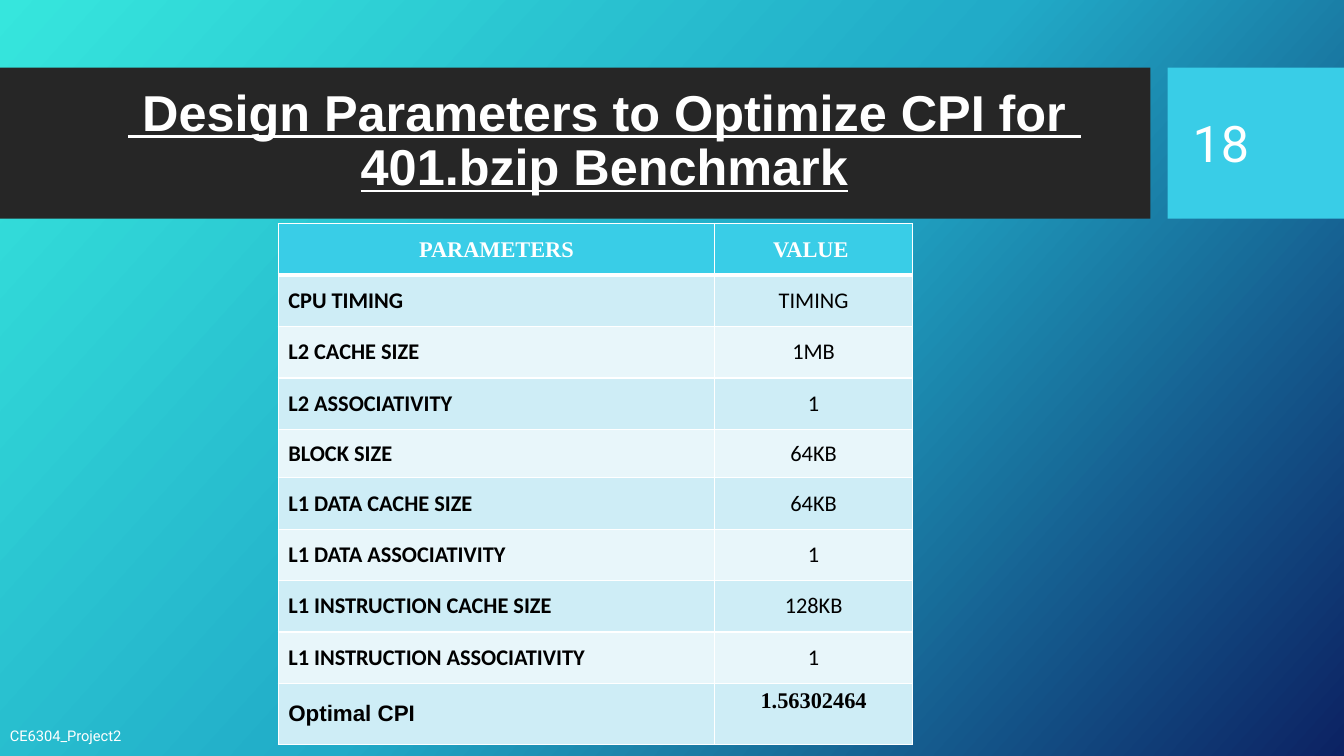
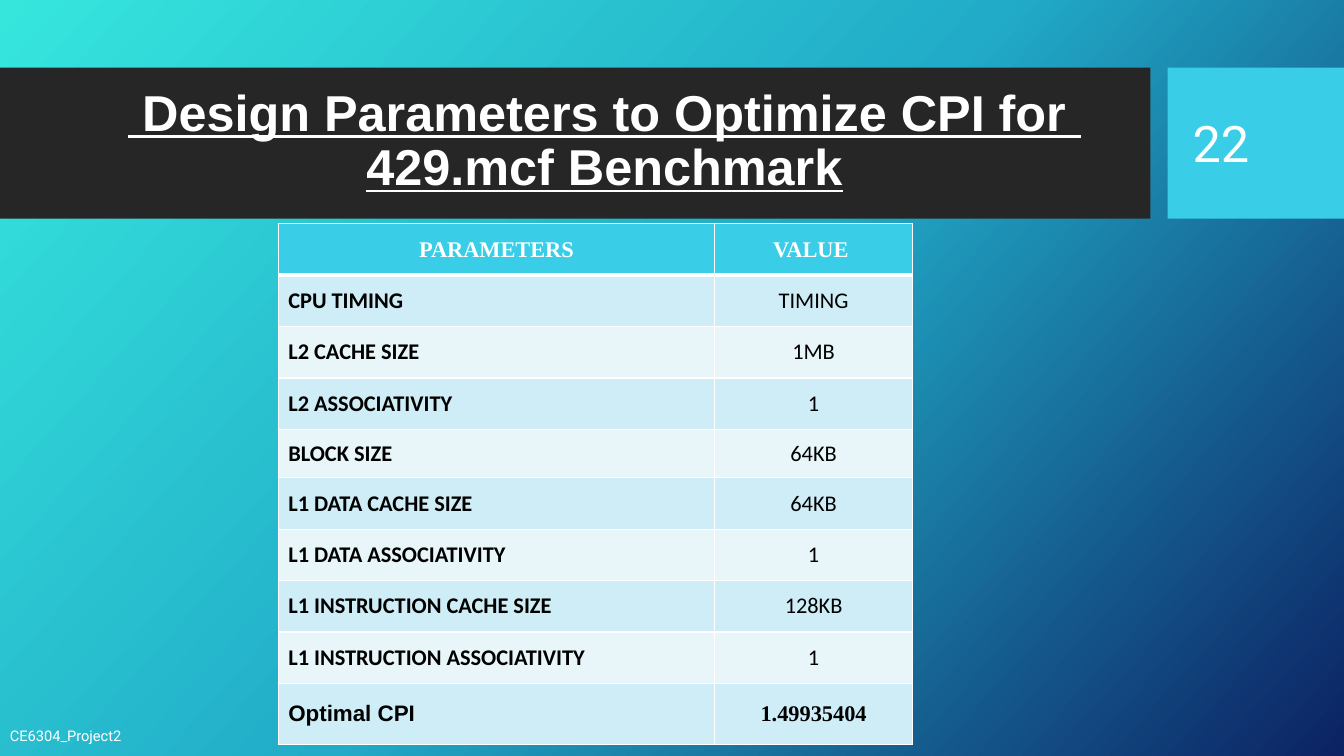
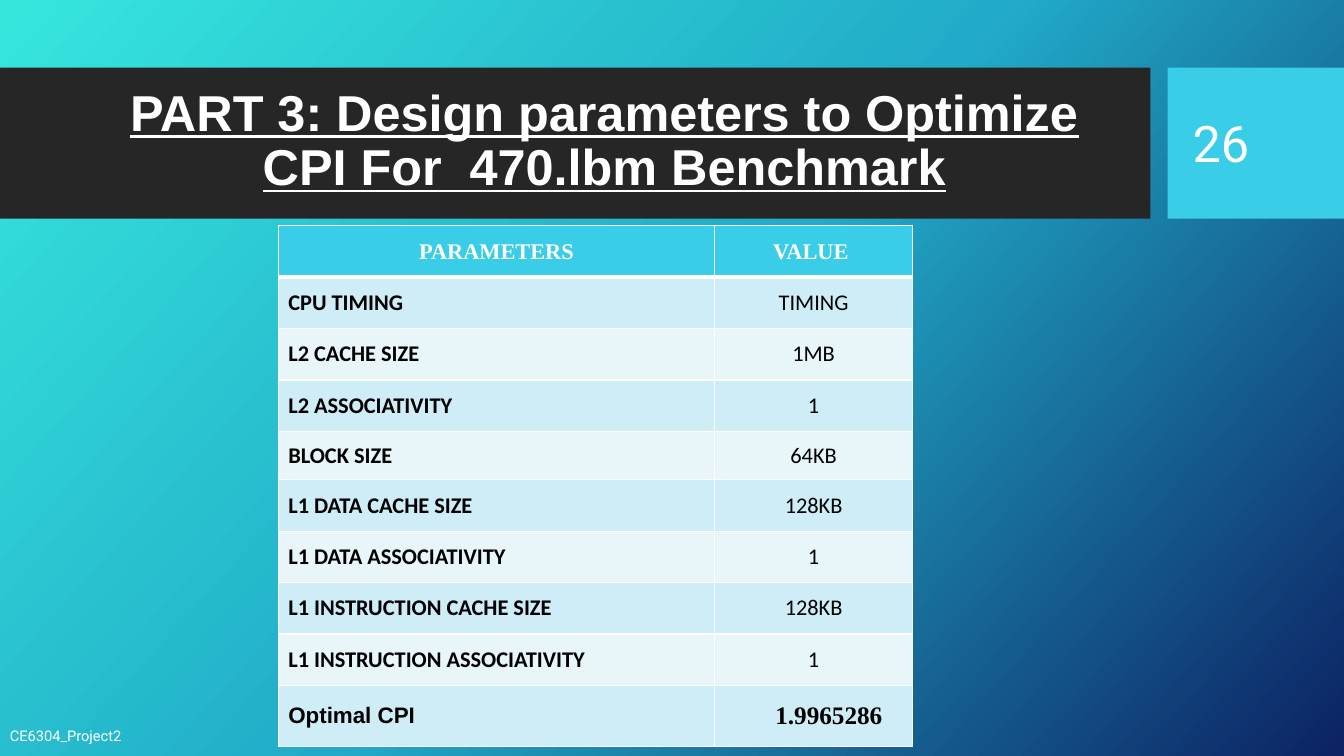
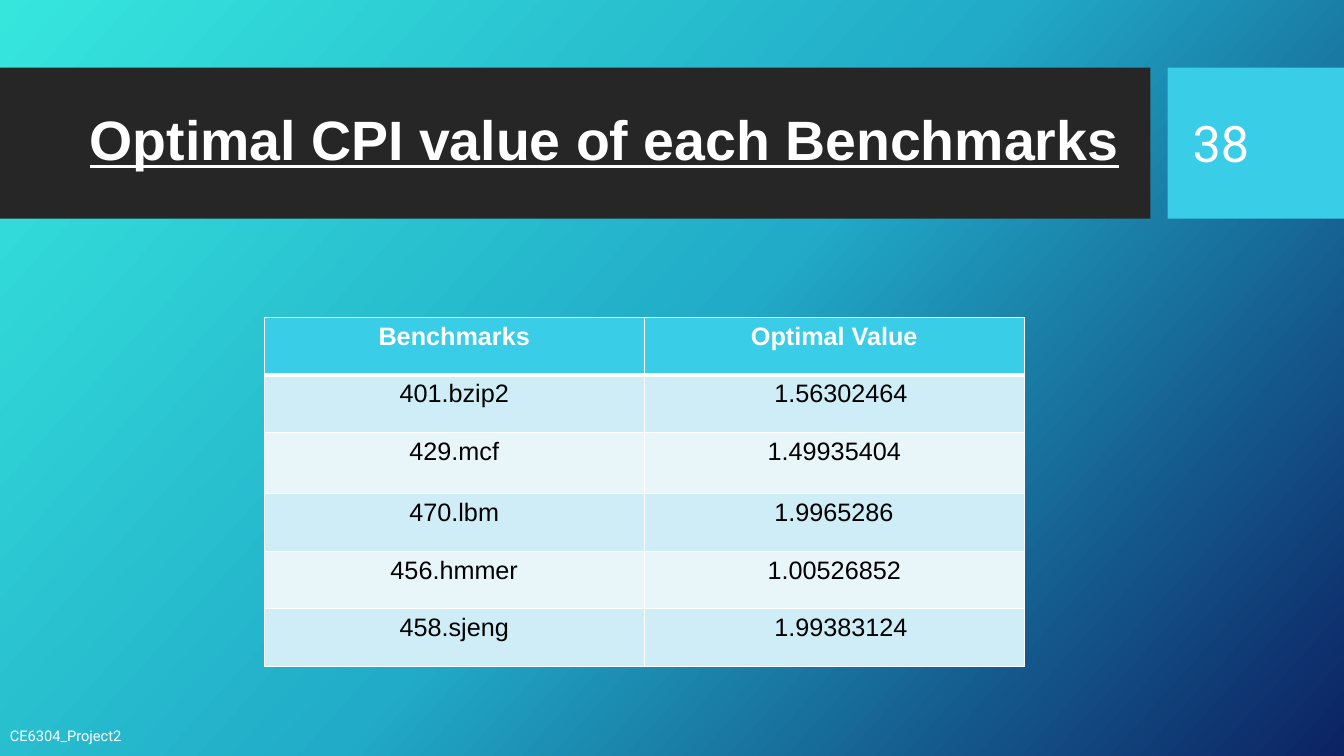
from dataclasses import dataclass, replace

from pptx import Presentation
from pptx.dml.color import RGBColor
from pptx.enum.shapes import MSO_SHAPE
from pptx.enum.text import MSO_ANCHOR, PP_ALIGN
from pptx.oxml import parse_xml
from pptx.oxml.ns import nsdecls, qn
from pptx.util import Inches, Pt


@dataclass(frozen=True)
class Theme:
    white: str = "FFFFFF"
    black: str = "000000"
    dark: str = "262626"
    cyan: str = "39CDE7"
    bands: tuple = ("CEEDF6", "E8F6FA")
    stops: tuple = ((0, "36E6DD"), (50, "21ABC8"), (100, "0C2263"))
    angle: int = 42
    sans: str = "Arial"
    serif: str = "Times New Roman"
    body: str = "Calibri"
    label: str = "Roboto"
    title: float = 36
    large: float = 39.6
    cell: float = 16
    big: float = 18
    small: float = 10.5
    thin: float = 1
    thick: float = 3


THEME = Theme()


@dataclass(frozen=True)
class Style:
    font: str
    size: float
    color: str = THEME.white
    bold: bool = False
    line: bool = False
    align: PP_ALIGN = PP_ALIGN.LEFT
    anchor: MSO_ANCHOR = MSO_ANCHOR.MIDDLE
    indent: float = 0
    space: float = 1


TITLE = Style(THEME.sans, THEME.title, bold=True, line=True,
              align=PP_ALIGN.CENTER, space=0.9)
FOOT = Style(THEME.label, THEME.small)
PAGE = Style(THEME.label, THEME.title)
HEAD = Style(THEME.serif, THEME.cell, bold=True, align=PP_ALIGN.CENTER)
NAME = Style(THEME.body, THEME.cell, THEME.black, bold=True)
VALUE = replace(NAME, bold=False, align=PP_ALIGN.CENTER)
TOTAL = replace(NAME, font=THEME.sans)
RESULT = replace(VALUE, font=THEME.serif, bold=True)
LIST = Style(THEME.sans, THEME.big, THEME.black,
             align=PP_ALIGN.CENTER, anchor=MSO_ANCHOR.TOP)
LIST_HEAD = replace(LIST, color=THEME.white, bold=True)
SHIFTED = replace(LIST, align=PP_ALIGN.LEFT, indent=1.19)


def inches(box):
    return [Inches(n) for n in box]


def write(frame, text, style):
    frame.word_wrap = True
    par = frame.paragraphs[0]
    par.alignment = style.align
    par.line_spacing = style.space
    if style.indent:
        par._p.get_or_add_pPr().set("marL", str(Inches(style.indent)))
    run = par.add_run()
    run.text = text
    font = run.font
    font.name, font.size = style.font, Pt(style.size)
    font.bold, font.underline = style.bold, style.line
    font.color.rgb = RGBColor.from_string(style.color)


def add_text(slide, box, text, style):
    frame = slide.shapes.add_textbox(*inches(box)).text_frame
    frame.vertical_anchor = style.anchor
    write(frame, text, style)


def add_band(slide, box, color):
    band = slide.shapes.add_shape(MSO_SHAPE.RECTANGLE, *inches(box))
    band.shadow.inherit = False
    band.fill.solid()
    band.fill.fore_color.rgb = RGBColor.from_string(color)
    band.line.fill.background()


def add_edge(cell, side, width):
    cell._tc.get_or_add_tcPr().append(parse_xml(
        f'<a:ln{side} {nsdecls("a")} w="{Pt(width)}"><a:solidFill>'
        f'<a:srgbClr val="{THEME.white}"/></a:solidFill></a:ln{side}>'))


def add_grid(slide, left, top, widths, heights, rows):
    box = (left, top, sum(widths), sum(heights))
    table = slide.shapes.add_table(len(rows), len(widths), *inches(box)).table
    for col, width in zip(table.columns, widths):
        col.width = Inches(width)
    for i, (row, height) in enumerate(zip(rows, heights)):
        table.rows[i].height = Inches(height)
        edges = {"L": THEME.thin, "R": THEME.thin,
                 "T": THEME.thick if i == 1 else THEME.thin,
                 "B": THEME.thick if i == 0 else THEME.thin}
        color = THEME.bands[(i - 1) % 2] if i else THEME.cyan
        for j, (text, style) in enumerate(row):
            cell = table.cell(i, j)
            for side, width in edges.items():
                add_edge(cell, side, width)
            cell.fill.solid()
            cell.fill.fore_color.rgb = RGBColor.from_string(color)
            cell.vertical_anchor = style.anchor
            write(cell.text_frame, text, style)


def set_ground(master):
    master.background.fill.solid()
    ground = master.element.find(".//" + qn("p:bgPr"))
    stops = "".join(f'<a:gs pos="{pos * 1000}"><a:srgbClr val="{color}"/></a:gs>'
                    for pos, color in THEME.stops)
    ground.replace(ground[0], parse_xml(
        f'<a:gradFill {nsdecls("a")} rotWithShape="1"><a:gsLst>{stops}</a:gsLst>'
        f'<a:lin ang="{THEME.angle * 60000}" scaled="0"/></a:gradFill>'))


def add_slide(deck, title, page, style=TITLE):
    slide = deck.slides.add_slide(deck.slide_layouts[6])
    add_band(slide, (0, 0.67, 11.41, 1.5), THEME.dark)
    add_band(slide, (11.58, 0.67, 1.75, 1.5), THEME.cyan)
    add_text(slide, (0.74, 0.82, 10.51, 1.18), title, style)
    add_text(slide, (0, 7.1, 7.51, 0.4), "CE6304_Project2", FOOT)
    add_text(slide, (11.73, 0.82, 1.26, 1.19), page, PAGE)
    return slide


def add_design(deck, title, page, cache, result, style, top=2.22):
    slide = add_slide(deck, title, page)
    facts = [("CPU TIMING", "TIMING"), ("L2 CACHE SIZE", "1MB"),
             ("L2 ASSOCIATIVITY", "1"), ("BLOCK SIZE", "64KB"),
             ("L1 DATA CACHE SIZE", cache), ("L1 DATA ASSOCIATIVITY", "1"),
             ("L1 INSTRUCTION CACHE SIZE", "128KB"),
             ("L1 INSTRUCTION ASSOCIATIVITY", "1")]
    rows = [[("PARAMETERS", HEAD), ("VALUE ", HEAD)]]
    rows += [[(name, NAME), (value, VALUE)] for name, value in facts]
    rows.append([("Optimal CPI", TOTAL), (result, style)])
    heights = [0.51] * 4 + [0.48] + [0.51] * 4 + [0.61]
    add_grid(slide, 2.76, top, (4.33, 1.96), heights, rows)


def add_summary(deck, title, page, scores):
    slide = add_slide(deck, title, page, replace(TITLE, size=THEME.large))
    rows = [[("Benchmarks", LIST_HEAD), ("Optimal Value", LIST_HEAD)]]
    rows += [[(name, LIST), (score, LIST if i % 2 else SHIFTED)]
             for i, (name, score) in enumerate(scores)]
    heights = [0.57] * 2 + [0.61] + [0.57] * 3
    add_grid(slide, 2.62, 3.15, (3.77, 3.77), heights, rows)


def main():
    deck = Presentation()
    deck.slide_width, deck.slide_height = Inches(13.33), Inches(7.5)
    set_ground(deck.slide_master)
    add_design(deck, " Design Parameters to Optimize CPI for  401.bzip Benchmark",
               "18", "64KB", "1.56302464", replace(RESULT, anchor=MSO_ANCHOR.TOP))
    add_design(deck, " Design Parameters to Optimize CPI for  429.mcf Benchmark",
               "22", "64KB", "1.49935404", RESULT)
    add_design(deck, "PART 3: Design parameters to Optimize CPI For  470.lbm Benchmark",
               "26", "128KB", "1.9965286",
               replace(RESULT, size=THEME.big, align=PP_ALIGN.LEFT, indent=0.5), 2.24)
    add_summary(deck, "Optimal CPI value of each Benchmarks", "38",
                [("401.bzip2", "1.56302464"), ("429.mcf", "1.49935404"),
                 ("470.lbm", "1.9965286"), ("456.hmmer", "1.00526852"),
                 ("458.sjeng", "1.99383124")])
    deck.save("out.pptx")


if __name__ == "__main__":
    main()
